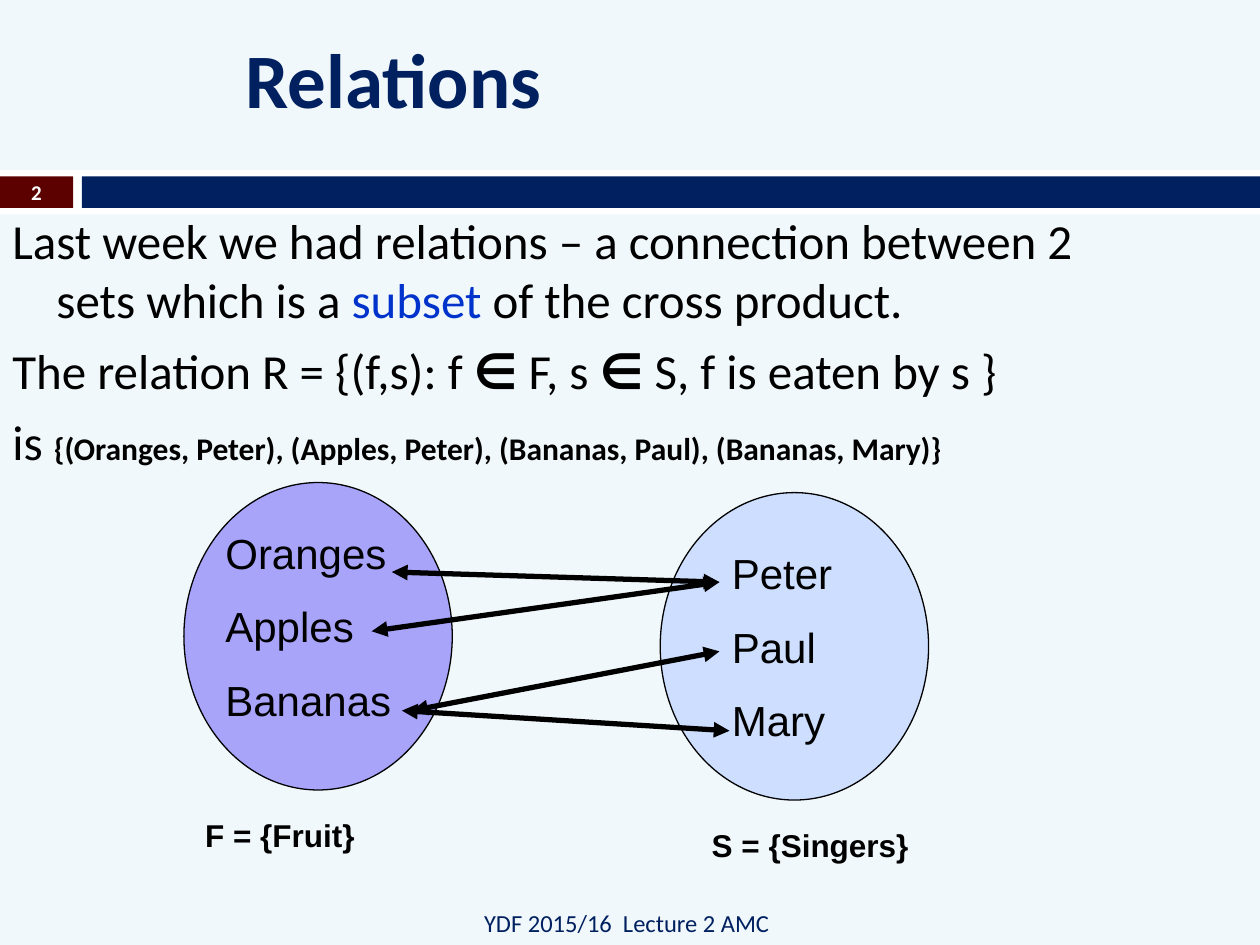
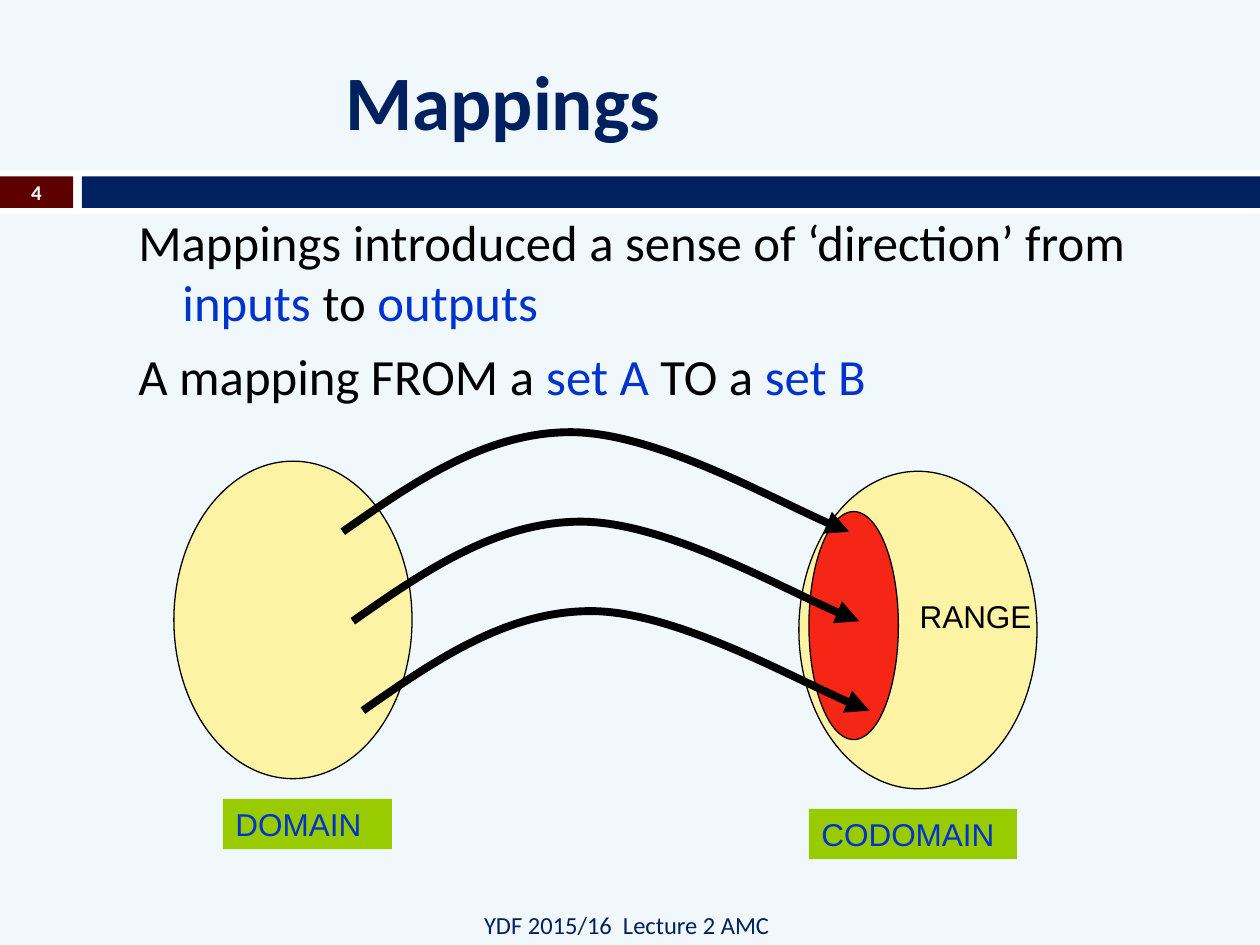
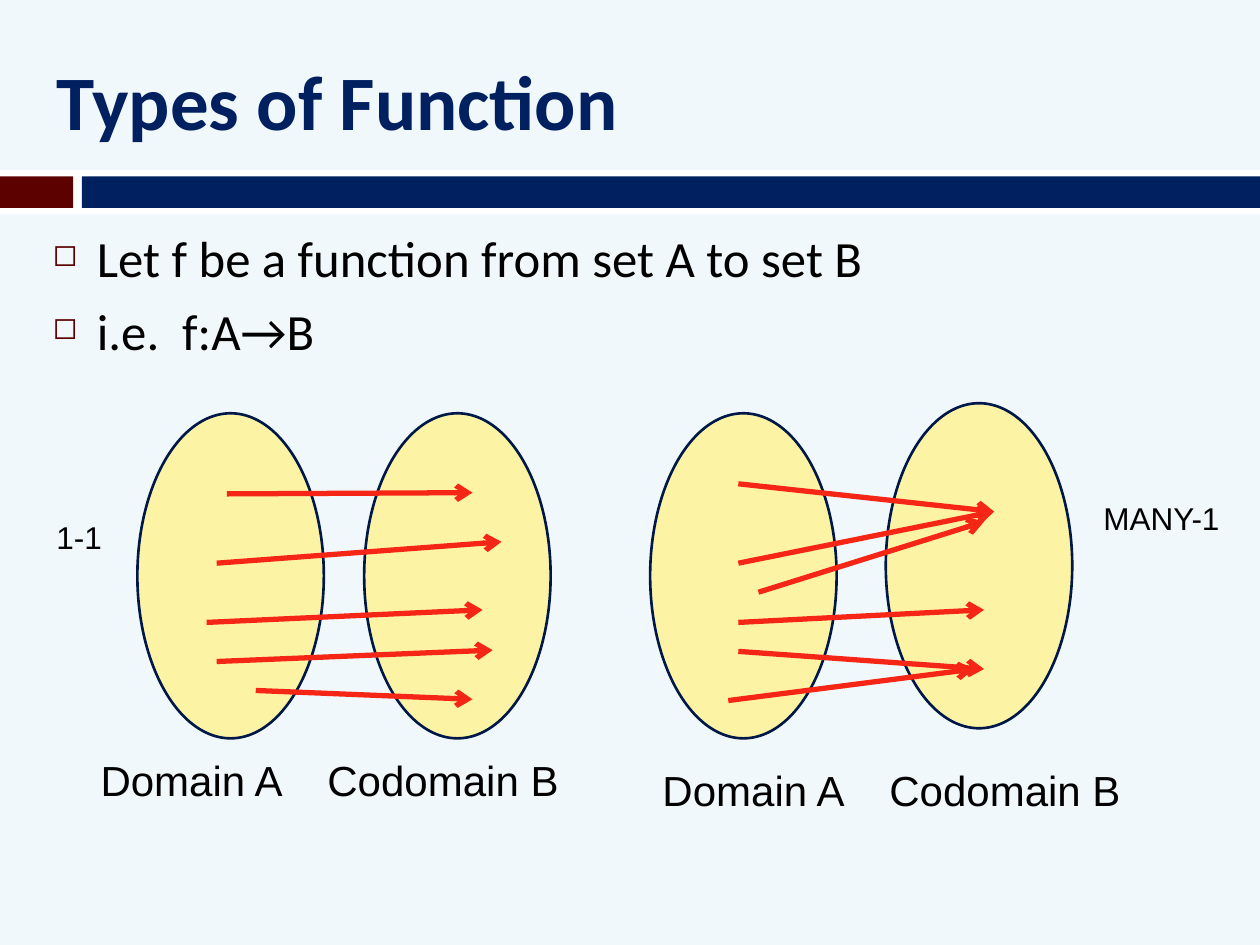
from lxml.etree import SubElement
from pptx import Presentation
from pptx.dml.color import RGBColor
from pptx.enum.shapes import MSO_CONNECTOR, MSO_SHAPE
from pptx.enum.text import MSO_ANCHOR, PP_ALIGN
from pptx.oxml.ns import qn
from pptx.util import Inches, Pt

PALE = RGBColor(0xF1, 0xF8, 0xFB)
WHITE = RGBColor(0xFF, 0xFF, 0xFF)
BLACK = RGBColor(0x00, 0x00, 0x00)
NAVY = RGBColor(0x00, 0x20, 0x60)
INK = RGBColor(0x00, 0x18, 0x47)
MAROON = RGBColor(0x5C, 0x00, 0x00)
BLUE = RGBColor(0x00, 0x33, 0xCC)
LILAC = RGBColor(0xA8, 0xA4, 0xFA)
SKY = RGBColor(0xCD, 0xDE, 0xFF)
CREAM = RGBColor(0xFD, 0xF3, 0xA5)
LIME = RGBColor(0x99, 0xCC, 0x00)
RED = RGBColor(0xF6, 0x26, 0x16)

HANG = Inches(0.35)
FOOT = "YDF 2015/16  Lecture 2 AMC"


def mark(para, char):
    props = para._p.get_or_add_pPr()
    tint = SubElement(props, qn("a:buClr"))
    SubElement(tint, qn("a:srgbClr")).set("val", str(MAROON))
    SubElement(props, qn("a:buSzPct")).set("val", "60000")
    SubElement(props, qn("a:buChar")).set("char", char)


def write(frame, *paras, size=18, font="Arial", color=BLACK, bold=False,
          align=PP_ALIGN.LEFT, anchor=MSO_ANCHOR.TOP, gap=0, hang=False, bullet=None):
    frame.word_wrap = True
    frame.vertical_anchor = anchor
    for index, runs in enumerate(paras):
        para = frame.add_paragraph() if index else frame.paragraphs[0]
        para.alignment = align
        if hang:
            props = para._p.get_or_add_pPr()
            props.set("marL", str(HANG))
            props.set("indent", str(-HANG))
        if bullet:
            mark(para, bullet)
        if index:
            para.space_before = Pt(gap)
        for part in [runs] if isinstance(runs, str) else runs:
            words, look = (part, {}) if isinstance(part, str) else part
            run = para.add_run()
            run.text = words
            run.font.name = font
            run.font.size = Pt(look.get("size", size))
            run.font.bold = look.get("bold", bold)
            run.font.color.rgb = look.get("color", color)


class Deck:
    def __init__(self):
        self.prs = Presentation()
        self.prs.slide_width = Inches(10)
        self.prs.slide_height = Inches(7.5)
        back = self.prs.slide_master.background.fill
        back.solid()
        back.fore_color.rgb = PALE
        self.slide = None

    def start(self, title, box, number=None, foot=0.36):
        self.slide = self.prs.slides.add_slide(self.prs.slide_layouts[5])
        head = self.slide.shapes.title
        head.left, head.top, head.width, head.height = map(Inches, box)
        write(head.text_frame, title, size=44, font="Calibri", color=NAVY,
              bold=True, anchor=MSO_ANCHOR.MIDDLE)
        self.shape((0, 1.35, 10, 0.35), WHITE)
        self.shape((0, 1.4, 0.58, 0.25), MAROON)
        self.shape((0.65, 1.4, 9.35, 0.25), NAVY)
        if number:
            style = dict(font="Calibri", align=PP_ALIGN.CENTER, anchor=MSO_ANCHOR.MIDDLE)
            self.text((3.39, 7.14, 3.17, foot), FOOT, size=14, color=NAVY, **style)
            self.text((0, 1.39, 0.58, 0.27), number, size=12, color=WHITE,
                      bold=True, **style)

    def text(self, box, *paras, fill=None, **style):
        area = self.slide.shapes.add_textbox(*map(Inches, box))
        if fill is not None:
            area.fill.solid()
            area.fill.fore_color.rgb = fill
        write(area.text_frame, *paras, **style)

    def body(self, box, *paras, size=29, **style):
        self.text(box, *paras, size=size, font="Calibri", gap=7, hang=True, **style)

    def shape(self, box, fill, kind=MSO_SHAPE.RECTANGLE, line=None, width=0.75):
        form = self.slide.shapes.add_shape(kind, *map(Inches, box))
        form.shadow.inherit = False
        form.fill.solid()
        form.fill.fore_color.rgb = fill
        if line is None:
            form.line.fill.background()
        else:
            form.line.color.rgb = line
            form.line.width = Pt(width)

    def oval(self, box, fill, line=BLACK, width=0.75):
        self.shape(box, fill, MSO_SHAPE.OVAL, line, width)

    def stroke(self, item, color, width, **ends):
        item.line.color.rgb = color
        item.line.width = Pt(width)
        line = item.line._get_or_add_ln()
        for name, kind in ends.items():
            SubElement(line, qn(f"a:{name}End")).set("type", kind)

    def arrow(self, start, end, color, **ends):
        link = self.slide.shapes.add_connector(
            MSO_CONNECTOR.STRAIGHT, *map(Inches, start + end))
        self.stroke(link, color, 3, **ends)
        SubElement(link._element.spPr, qn("a:effectLst"))

    def curve(self, left, top):
        knots = [(0, 0.79), (0.57, 0.39), (1.14, 0), (1.81, 0),
                 (2.47, 0), (3.63, 0.65), (4.02, 0.79)]
        spots = [(Inches(left + x), Inches(top + y)) for x, y in knots]
        pen = self.slide.shapes.build_freeform(*spots[0])
        pen.add_line_segments(spots[1:], close=False)
        bend = pen.convert_to_shape()
        bend.shadow.inherit = False
        bend.fill.background()
        self.stroke(bend, BLACK, 4.5, tail="triangle")
        route = bend._element.xpath(".//a:path")[0]
        steps = route.findall(qn("a:lnTo"))
        for first in (0, 3):
            cubic = SubElement(route, qn("a:cubicBezTo"))
            for step in steps[first:first + 3]:
                cubic.append(step[0])
                route.remove(step)


def relate(deck):
    deck.start("Relations", (1.85, 0.16, 4.09, 0.91), "2")
    member = ("∈ ", {"bold": True})
    deck.body(
        (0, 1.62, 9.3, 2.2),
        ["Last week we had relations – a connection between 2 sets which is a ",
         ("subset ", {"color": BLUE}), "of the cross product."],
        ["The relation R = {(f,s): f ", member, "F, s ", member, "S, f is eaten by s }"],
        ["is ", ("{(Oranges, Peter), (Apples, Peter), (Bananas, Paul), (Bananas, Mary)}",
                 {"size": 18, "bold": True})],
        size=28)
    deck.oval((1.46, 3.83, 2.13, 2.44), LILAC)
    deck.oval((5.24, 3.91, 2.13, 2.44), SKY)
    deck.text((1.69, 4.14, 1.89, 1.7), "Oranges", "Apples", "Bananas", size=24, gap=13)
    deck.text((5.71, 4.3, 1.89, 1.7), "Peter", "Paul", "Mary", size=24, gap=13)
    for start, end in [((3.11, 4.54), (5.71, 4.62)), ((2.95, 5.01), (5.71, 4.62)),
                       ((3.27, 5.64), (5.71, 5.17)), ((3.19, 5.64), (5.79, 5.8))]:
        deck.arrow(start, end, BLACK, head="triangle", tail="triangle")
    deck.text((1.53, 6.43, 1.57, 0.4), "F = {Fruit}", bold=True)
    deck.text((5.55, 6.51, 1.89, 0.4), "S = {Singers}", bold=True)


def mapping(deck):
    deck.start("Mappings", (2.64, 0.25, 3.31, 1.08), "4", foot=0.39)
    blue = {"color": BLUE}
    deck.body(
        (1, 1.62, 9, 1.7),
        ["Mappings introduced a sense of ‘direction’ from ", ("inputs", blue),
         " to ", ("outputs", blue)],
        ["A mapping FROM a ", ("set A", blue), " TO a ", ("set B", blue)])
    deck.oval((1.38, 3.66, 1.89, 2.52), CREAM)
    deck.text((1.77, 6.34, 1.34, 0.4), "DOMAIN", color=BLUE, fill=LIME)
    deck.oval((6.34, 3.74, 1.89, 2.52), CREAM)
    deck.text((6.42, 6.42, 1.65, 0.4), "CODOMAIN", color=BLUE, fill=LIME)
    deck.oval((6.42, 4.06, 0.71, 1.81), RED)
    deck.text((7.2, 4.69, 1.34, 0.4), "RANGE")
    for step in range(3):
        deck.curve(2.72 + 0.08 * step, 3.43 + 0.71 * step)


def types(deck):
    deck.start("Types of Function", (0.35, 0.25, 9.37, 1.08))
    deck.body((0.32, 1.75, 9.41, 1.3), "Let f be a function from set A to set B",
              "i.e.  f:A→B", bullet="◻")
    deck.text((0.35, 4.06, 1.1, 0.4), "1-1")
    deck.text((8.66, 3.91, 1.34, 0.4), "MANY-1")
    for left, top in [(1.09, 3.28), (2.89, 3.28), (5.16, 3.28), (7.03, 3.2)]:
        deck.oval((left, top, 1.48, 2.58), CREAM, INK, 1.5)
    for left, top in [(0.7, 5.94), (5.16, 6.02)]:
        deck.text((left, top, 1.8, 0.5), "Domain A", size=24)
        deck.text((left + 1.8, top, 2.11, 0.5), "Codomain B", size=24)
    single = [((1.8, 3.92), (3.75, 3.91)), ((1.72, 4.47), (3.98, 4.3)),
              ((1.64, 4.94), (3.83, 4.84)), ((1.72, 5.25), (3.91, 5.16)),
              ((2.03, 5.48), (3.75, 5.55))]
    many = [((6.02, 4.7), (7.81, 4.14)), ((5.78, 5.56), (7.73, 5.31)),
            ((5.86, 5.17), (7.81, 5.31)), ((5.86, 4.94), (7.81, 4.84)),
            ((5.86, 4.47), (7.89, 4.06)), ((5.86, 3.84), (7.89, 4.06))]
    for start, end in single + many:
        deck.arrow(start, end, RED, tail="arrow")


def main():
    deck = Deck()
    relate(deck)
    mapping(deck)
    types(deck)
    deck.prs.save("out.pptx")


if __name__ == "__main__":
    main()
